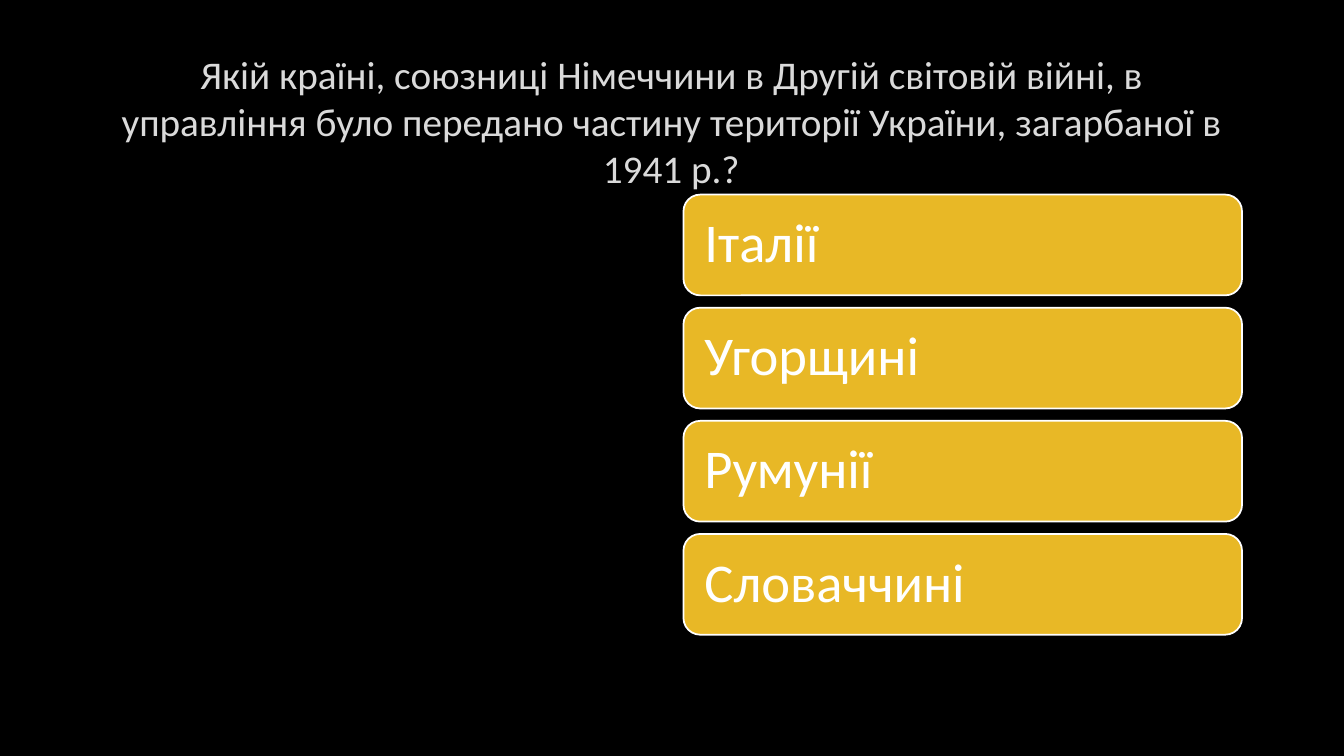
import pptx
import pptx.util
import pptx.dml.color
import pptx.enum.shapes
import pptx.enum.text

Pt = pptx.util.Pt
RGB = pptx.dml.color.RGBColor
BLACK = RGB(0x00, 0x00, 0x00)
GREY = RGB(0xDA, 0xDA, 0xDA)
GOLD = RGB(0xE8, 0xB8, 0x26)
WHITE = RGB(0xFF, 0xFF, 0xFF)
ALIGN = pptx.enum.text.PP_ALIGN
MIDDLE = pptx.enum.text.MSO_ANCHOR.MIDDLE


def write(frame, text, size, color, align):
    frame.text = text
    frame.word_wrap = True
    frame.auto_size = pptx.enum.text.MSO_AUTO_SIZE.NONE
    frame.vertical_anchor = MIDDLE
    para = frame.paragraphs[0]
    para.alignment = align
    font = para.runs[0].font
    font.name = "Calibri"
    font.size = Pt(size)
    font.color.rgb = color
    return para


deck = pptx.Presentation()
deck.slide_width = Pt(960)
deck.slide_height = Pt(540)
slide = deck.slides.add_slide(deck.slide_layouts[5])
slide.background.fill.solid()
slide.background.fill.fore_color.rgb = BLACK

title = slide.shapes.title
title.left, title.top = Pt(72), Pt(48)
title.width, title.height = Pt(815), Pt(76.5)
write(
    title.text_frame,
    "Якій країні, союзниці Німеччини в Другій світовій війні, "
    "в управління було передано частину території України, "
    "загарбаної в 1941 р.?",
    28, GREY, ALIGN.CENTER,
)

answers = ["Італії", "Угорщині", "Румунії", "Словаччині"]
for row, answer in enumerate(answers):
    card = slide.shapes.add_shape(
        pptx.enum.shapes.MSO_SHAPE.ROUNDED_RECTANGLE,
        Pt(488.2), Pt(139 + row * 80.8), Pt(399), Pt(72),
    )
    card.shadow.inherit = False
    card.fill.solid()
    card.fill.fore_color.rgb = GOLD
    card.line.color.rgb = WHITE
    card.line.width = Pt(1.25)
    frame = card.text_frame
    frame.margin_left = frame.margin_right = Pt(11.5)
    frame.margin_top = frame.margin_bottom = Pt(11.5)
    para = write(frame, answer, 39, WHITE, ALIGN.LEFT)
    para.line_spacing = 0.9

deck.save("out.pptx")
